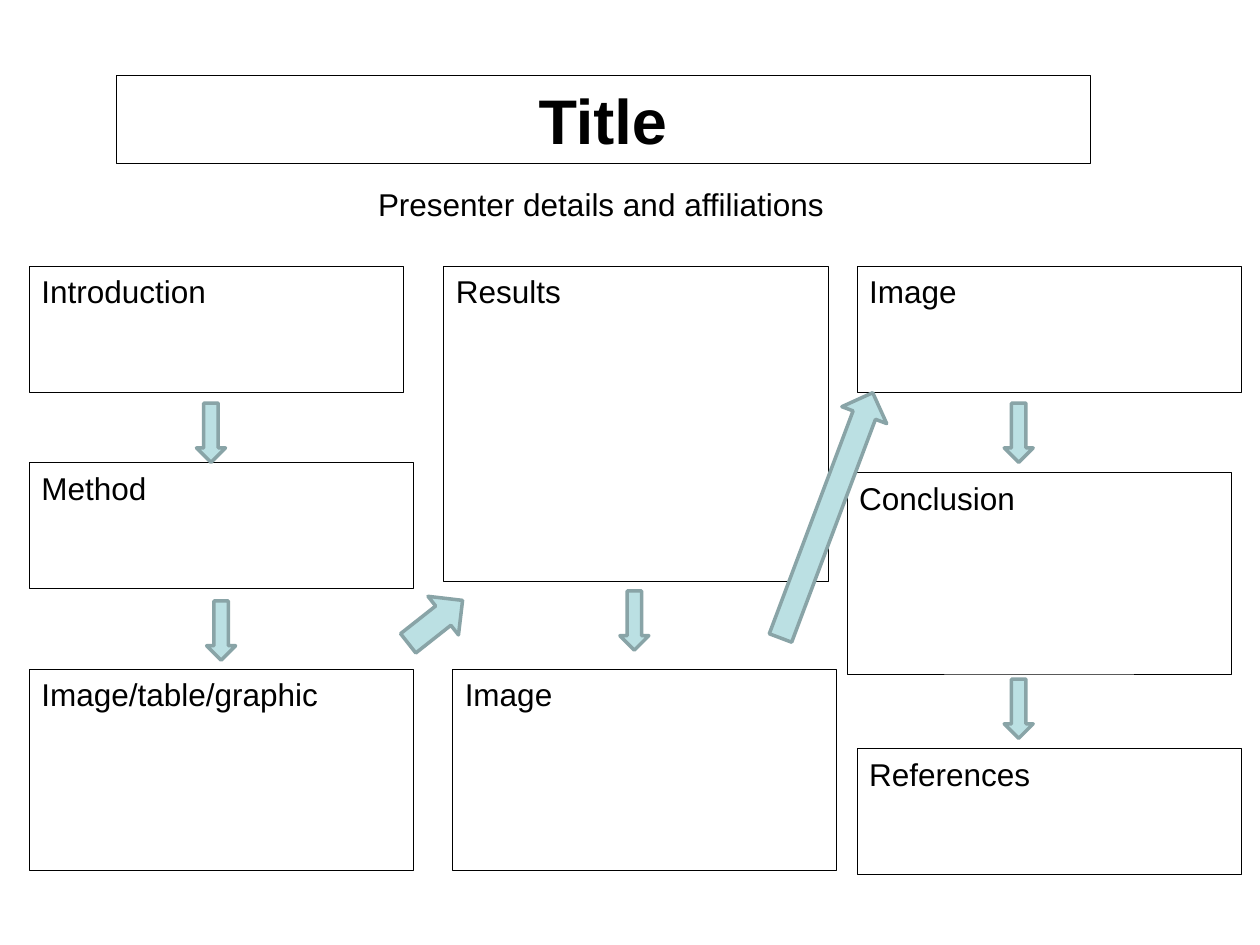
from dataclasses import dataclass

from pptx import Presentation
from pptx import util as u
from pptx.dml.color import RGBColor
from pptx.enum import shapes, text

FONT = "Arial"
BLACK = "000000"
ARROW_FILL = "BBE0E3"
ARROW_LINE = "89A4A7"


@dataclass
class Box:
    label: str
    left: float
    top: float
    width: float = 3.05
    height: float = 1.0
    size: int = 18
    bold: bool = False
    centred: bool = False
    framed: bool = True


@dataclass
class Arrow:
    left: float
    top: float
    width: float = 0.23
    height: float = 0.47
    rotation: float = 0


LEFT, MIDDLE, RIGHT = 0.23, 3.52, 6.8
TOP_ROW, BOTTOM_ROW = 2.11, 5.31
TALL = 1.6

BOXES = [
    # Heading
    Box("Title", 0.92, 0.6, 7.73, 0.7, size=36, bold=True, centred=True),
    Box("Presenter details and affiliations", 1.22, 1.42, 7.1, 0.4,
        centred=True, framed=False),
    # Left column
    Box("Introduction", LEFT, TOP_ROW, width=2.97),
    Box("Method", LEFT, 3.67),
    Box("Image/table/graphic", LEFT, BOTTOM_ROW, height=TALL),
    # Middle column
    Box("Results", MIDDLE, TOP_ROW, height=2.5),
    Box("Image", 3.59, BOTTOM_ROW, height=TALL),
    # Right column
    Box("Image", RIGHT, TOP_ROW),
    Box("Conclusion", 6.72, 3.75, height=TALL),
    Box("References", RIGHT, 5.94),
]

ARROWS = [
    # Down each column
    Arrow(1.56, 3.2),
    Arrow(1.64, 4.77),
    Arrow(4.92, 4.69),
    Arrow(7.97, 3.2),
    Arrow(7.97, 5.39),
    # Up to the next column
    Arrow(3.26, 4.66, 0.39, 0.55, rotation=231.7),
    Arrow(6.37, 3.05, 0.38, 2.08, rotation=200.6),
]


def colour(value: str) -> RGBColor:
    return RGBColor.from_string(value)


def place(item: Box | Arrow) -> list[u.Length]:
    return [u.Inches(n) for n in (item.left, item.top, item.width, item.height)]


def draw_box(slide, box: Box) -> None:
    if box.framed:
        shape = slide.shapes.add_shape(shapes.MSO_SHAPE.RECTANGLE, *place(box))
        shape.shadow.inherit = False
        shape.fill.background()
        shape.line.color.rgb = colour(BLACK)
        shape.line.width = u.Pt(0.25)
    else:
        shape = slide.shapes.add_textbox(*place(box))
    frame = shape.text_frame
    frame.word_wrap = True
    frame.vertical_anchor = text.MSO_ANCHOR.TOP
    paragraph = frame.paragraphs[0]
    paragraph.alignment = (text.PP_ALIGN.CENTER if box.centred
                           else text.PP_ALIGN.LEFT)
    run = paragraph.add_run()
    run.text = box.label
    run.font.name = FONT
    run.font.size = u.Pt(box.size)
    run.font.bold = box.bold
    run.font.color.rgb = colour(BLACK)


def draw_arrow(slide, arrow: Arrow) -> None:
    shape = slide.shapes.add_shape(shapes.MSO_SHAPE.DOWN_ARROW, *place(arrow))
    shape.rotation = arrow.rotation
    shape.shadow.inherit = False
    shape.fill.solid()
    shape.fill.fore_color.rgb = colour(ARROW_FILL)
    shape.line.color.rgb = colour(ARROW_LINE)
    shape.line.width = u.Pt(2)


def main() -> None:
    presentation = Presentation()
    presentation.slide_width = u.Inches(10)
    presentation.slide_height = u.Inches(7.5)
    slide = presentation.slides.add_slide(presentation.slide_layouts[6])
    for box in BOXES:
        draw_box(slide, box)
    for arrow in ARROWS:
        draw_arrow(slide, arrow)
    presentation.save("out.pptx")


if __name__ == "__main__":
    main()
